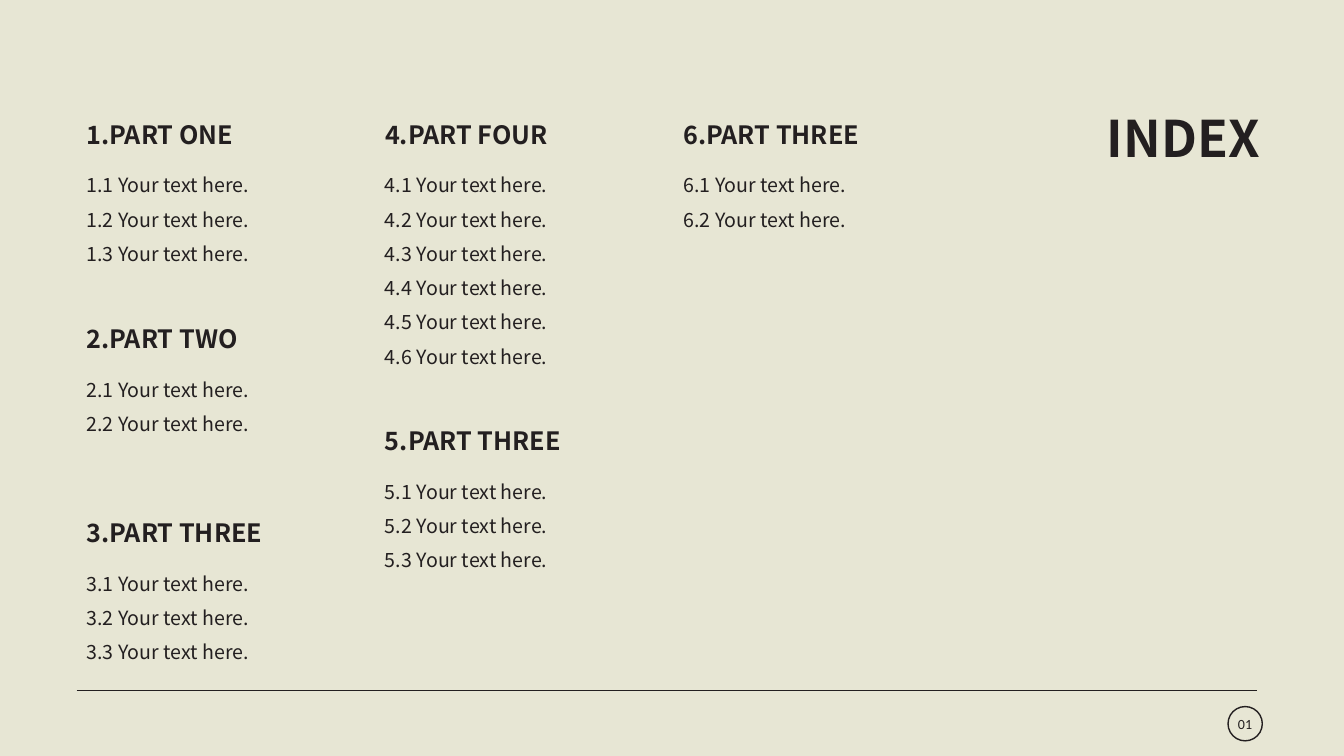
import pptx
import pptx.dml.color
import pptx.enum.shapes
import pptx.enum.text
import pptx.oxml.ns
import pptx.util
from dataclasses import dataclass
from lxml import etree

Inches = pptx.util.Inches
Pt = pptx.util.Pt


@dataclass
class Theme:
    paper = pptx.dml.color.RGBColor.from_string("E7E6D4")
    ink = pptx.dml.color.RGBColor.from_string("231F20")
    font = "Noto Sans CJK SC"
    small = "Calibri"
    title = 36
    head = 18
    item = 14
    page = 10


theme = Theme()


def write(text, x, y, w, h, size, bold=False, wrap=True, font=theme.font):
    box = slide.shapes.add_textbox(Inches(x), Inches(y), Inches(w), Inches(h))
    frame = box.text_frame
    frame.word_wrap = wrap
    frame.auto_size = pptx.enum.text.MSO_AUTO_SIZE.SHAPE_TO_FIT_TEXT
    para = frame.paragraphs[0]
    para.text = text
    para.font.name = font
    para.font.size = Pt(size)
    para.font.bold = bold
    para.font.color.rgb = theme.ink


# Slide and background
deck = pptx.Presentation()
deck.slide_width = Inches(13.33)
deck.slide_height = Inches(7.5)
slide = deck.slides.add_slide(deck.slide_layouts[6])
slide.background.fill.solid()
slide.background.fill.fore_color.rgb = theme.paper

# Footer rule
rule = slide.shapes.add_connector(
    pptx.enum.shapes.MSO_CONNECTOR.STRAIGHT,
    Inches(0.76), Inches(6.85), Inches(12.47), Inches(6.85))
rule.line.color.rgb = theme.ink
rule.line.width = Pt(0.5)
etree.SubElement(rule.element.spPr, pptx.oxml.ns.qn("a:effectLst"))

# Page number in a ring
ring = slide.shapes.add_shape(
    pptx.enum.shapes.MSO_SHAPE.OVAL,
    Inches(12.18), Inches(7.01), Inches(0.34), Inches(0.34))
ring.shadow.inherit = False
ring.fill.background()
ring.line.color.rgb = theme.ink
ring.line.width = Pt(1)
write("01", 12.18, 7.05, 0.35, 0.27, theme.page, wrap=False, font=theme.small)

# Title
write("INDEX", 10.88, 1.01, 1.98, 0.71, theme.title, bold=True)

# Parts: name, left, top, heading width, item width, item count
parts = [
    ("ONE", 0.76, 1.13, 1.74, 2, 3),
    ("TWO", 0.76, 3.16, 1.82, 2, 2),
    ("THREE", 0.76, 5.08, 2, 2, 3),
    ("FOUR", 3.72, 1.13, 1.89, 2, 6),
    ("THREE", 3.72, 4.17, 2, 2, 3),
    ("THREE", 6.68, 1.13, 2, 3.83, 2),
]
gap = 0.54
pitch = 0.34
for num, (name, x, y, wide, span, count) in enumerate(parts, 1):
    write(f"{num}.PART {name}", x, y, wide, 0.4, theme.head, bold=True, wrap=False)
    for row in range(count):
        write(f"{num}.{row + 1} Your text here.", x, y + gap + row * pitch,
              span, 0.34, theme.item)

deck.save("out.pptx")
